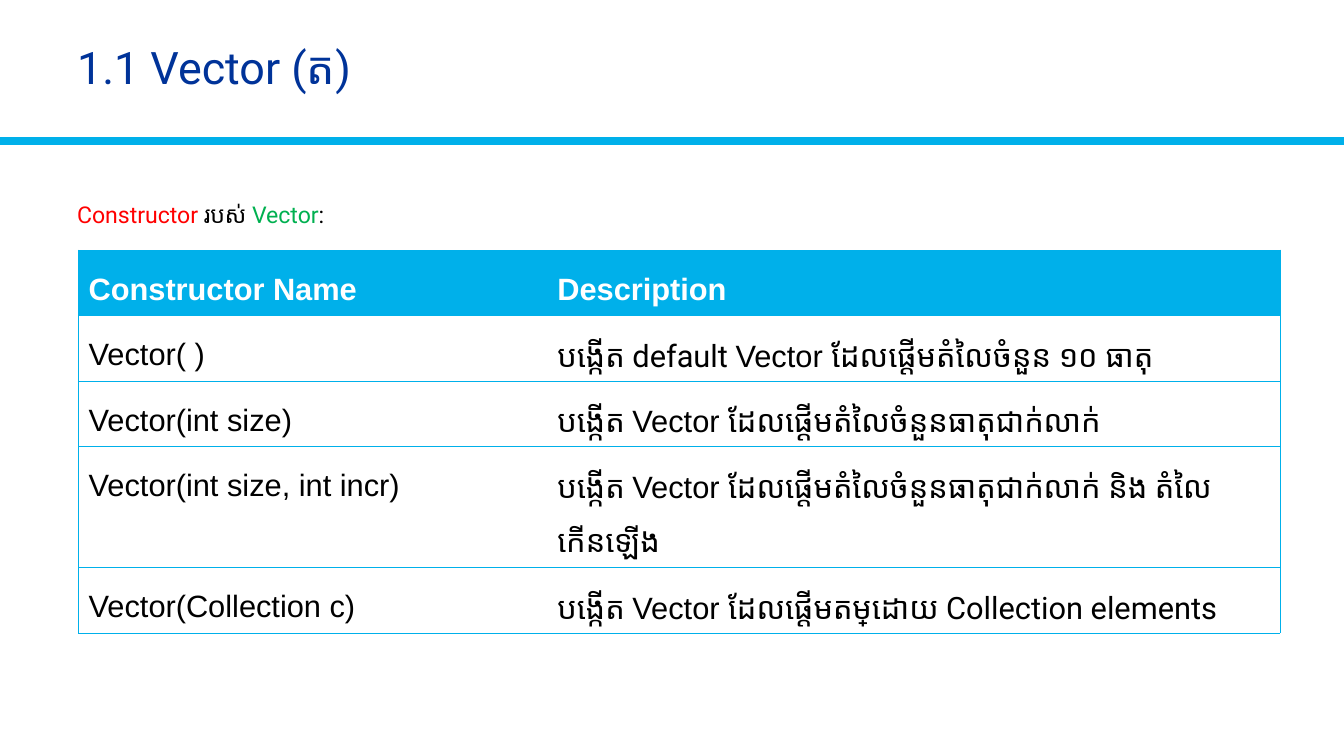
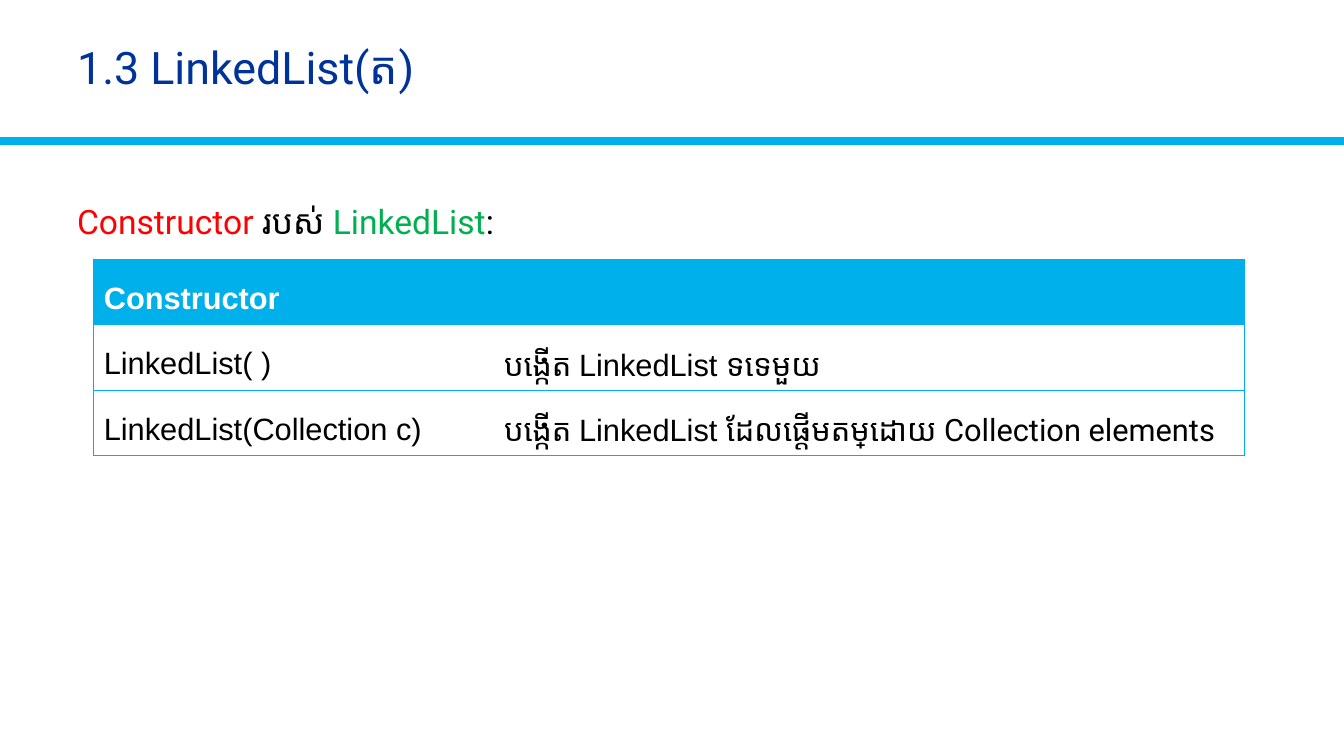
from dataclasses import dataclass

from lxml.etree import SubElement
from pptx import Presentation
from pptx.dml.color import RGBColor
from pptx.enum.shapes import MSO_CONNECTOR
from pptx.enum.text import MSO_ANCHOR
from pptx.oxml.ns import qn
from pptx.util import Inches, Pt


@dataclass(frozen=True)
class Theme:
    """Colours, fonts and type sizes shared by the slides."""
    band: str = "00B0EA"
    title: str = "003399"
    keyword: str = "FF0000"
    type_name: str = "00B050"
    ink: str = "000000"
    paper: str = "FFFFFF"
    khmer: str = "Roboto"
    latin: str = "Arial"
    title_size: float = 32
    cell_size: float = 22
    band_width: float = 6
    border_width: float = 0.5
    cell_spacing: float = 1.5


T = Theme()


class Deck:
    """Draws styled elements on a 40 by 30 grid of the current slide."""
    COLS, ROWS = 40, 30

    def __init__(self):
        self.prs = Presentation()
        self.prs.slide_width, self.prs.slide_height = Inches(13.33), Inches(7.5)
        self.s = None

    def x(self, cols):
        return round(self.prs.slide_width * cols / self.COLS)

    def y(self, rows):
        return round(self.prs.slide_height * rows / self.ROWS)

    def slide(self, title):
        self.s = self.prs.slides.add_slide(self.prs.slide_layouts[6])
        self.band(5.6)
        p = self.textbox(2, 0.56, 36, 4.44, MSO_ANCHOR.MIDDLE)
        p.line_spacing = 0.9
        self.run(p, title, T.title_size, T.title)

    def band(self, row):
        y = self.y(row)
        line = self.s.shapes.add_connector(
            MSO_CONNECTOR.STRAIGHT, 0, y, self.prs.slide_width, y)
        line.line.color.rgb = RGBColor.from_string(T.band)
        line.line.width = Pt(T.band_width)
        SubElement(line._element.spPr, qn("a:effectLst"))

    def textbox(self, col, row, cols, rows, anchor=MSO_ANCHOR.TOP):
        sp = self.s.shapes.add_textbox(
            self.x(col), self.y(row), self.x(cols), self.y(rows))
        tf = sp.text_frame
        tf.word_wrap = True
        tf.vertical_anchor = anchor
        return tf.paragraphs[0]

    def run(self, p, text, size, color, font=T.khmer, bold=False):
        r = p.add_run()
        r.text = text
        r.font.size, r.font.name, r.font.bold = Pt(size), font, bold
        r.font.color.rgb = RGBColor.from_string(color)
        SubElement(r._r.get_or_add_rPr(), qn("a:cs"), typeface=font)

    def heading(self, name, size):
        p = self.textbox(2, 7.76, 36, 2)
        for text, color in (("Constructor", T.keyword), (" របស់ ", T.ink),
                            (name, T.type_name), (":", T.ink)):
            self.run(p, text, size, color)

    def table(self, col, row, widths, row_height, header, body):
        rows = [[[(text, T.latin)] for text in header]]
        rows += [[[(call, T.latin)], runs] for call, runs in body]
        tbl = self.s.shapes.add_table(
            len(rows), len(widths), self.x(col), self.y(row),
            self.x(sum(widths)), self.y(row_height * len(rows))).table
        tbl.horz_banding = False
        for column, width in zip(tbl.columns, widths):
            column.width = self.x(width)
        for i, cells in enumerate(rows):
            tbl.rows[i].height = self.y(row_height)
            for j, runs in enumerate(cells):
                self.cell(tbl.cell(i, j), runs, i == 0,
                          {"L": j == 0, "R": j == len(widths) - 1, "T": True, "B": True})

    def cell(self, cell, runs, is_header, edges):
        for side, shown in edges.items():
            self.border(cell, side, shown)
        cell.fill.solid()
        cell.fill.fore_color.rgb = RGBColor.from_string(T.band if is_header else T.paper)
        p = cell.text_frame.paragraphs[0]
        p.line_spacing = T.cell_spacing
        for text, font in runs:
            if text:
                self.run(p, text, T.cell_size, T.paper if is_header else T.ink,
                         font, is_header)

    def border(self, cell, side, shown):
        ln = SubElement(cell._tc.get_or_add_tcPr(), qn(f"a:ln{side}"),
                        w=str(Pt(T.border_width)))
        if shown:
            SubElement(SubElement(ln, qn("a:solidFill")), qn("a:srgbClr"), val=T.band)
        else:
            SubElement(ln, qn("a:noFill"))


def creates(name, rest, lead="បង្កើត "):
    return [(lead, T.khmer), (name + " ", T.latin), (rest, T.khmer)]


def main():
    deck = Deck()
    from_collection = "ដែលផ្ដើមតម្លៃដោយ Collection elements"
    sized = "ដែលផ្តើមតំលៃចំនួនធាតុជាក់លាក់"

    deck.slide("1.1 Vector (ត)")
    deck.heading("Vector", 16.5)
    deck.table(2.34, 9.92, (13.95, 21.81), 1.64, ("Constructor Name", "Description"), [
        ("Vector( )", creates("Vector", "ដែលផ្តើមតំលៃចំនួន ១០ ធាតុ", "បង្កើត default ")),
        ("Vector(int size)", creates("Vector", sized)),
        ("Vector(int size, int incr)", creates("Vector", sized + " និង តំលៃកើនឡើង")),
        ("Vector(Collection c)", creates("Vector", from_collection)),
    ])

    deck.slide("1.3 LinkedList(ត)")
    deck.heading("LinkedList", 24)
    deck.table(2.79, 10.28, (11.91, 22.32), 1.96, ("Constructor", ""), [
        ("LinkedList( )", creates("LinkedList", "ទទេមួយ")),
        ("LinkedList(Collection c)", creates("LinkedList", from_collection)),
    ])

    deck.prs.save("out.pptx")


if __name__ == "__main__":
    main()
